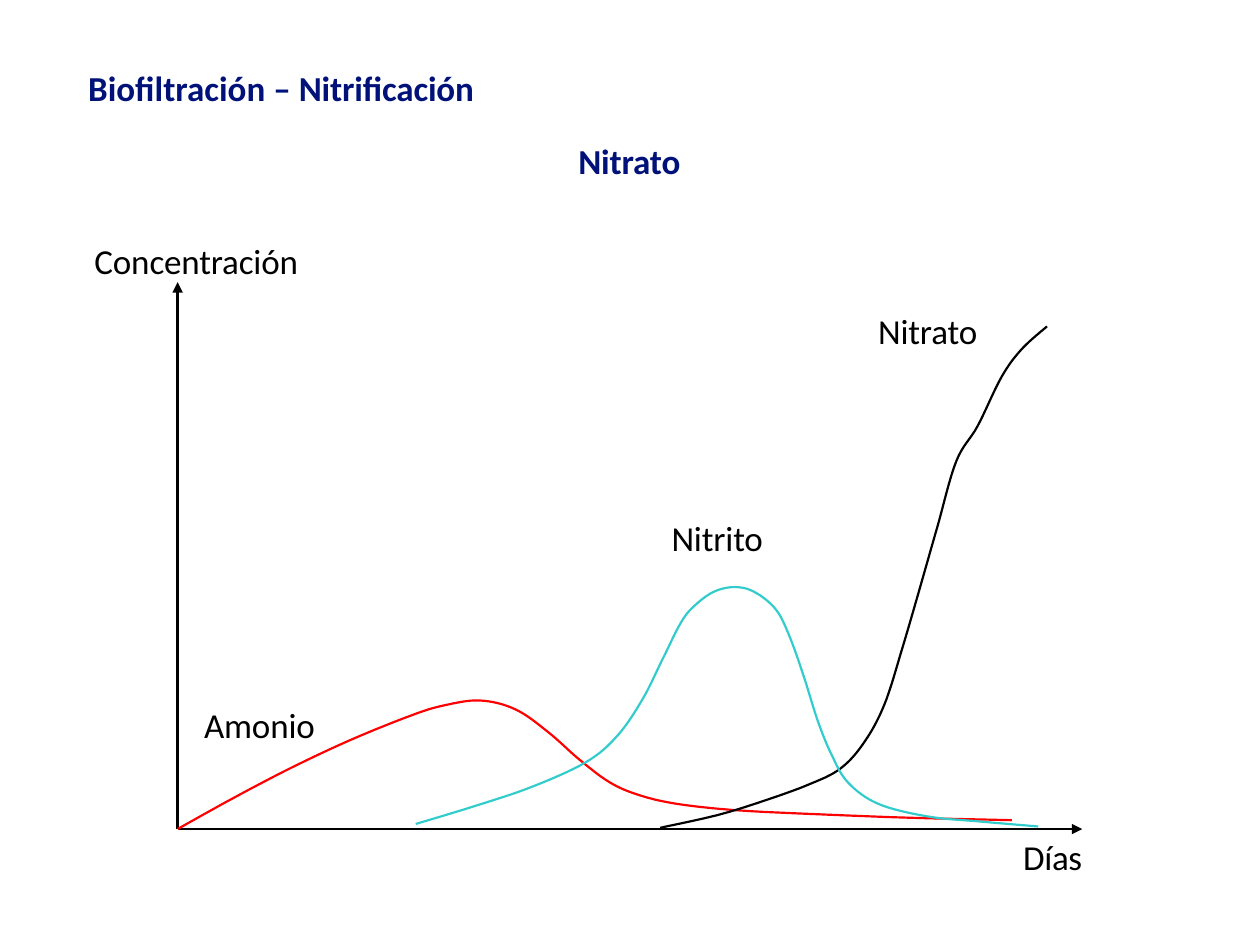
from dataclasses import dataclass

from lxml.etree import SubElement
from pptx import Presentation
from pptx.dml.color import RGBColor
from pptx.enum.shapes import MSO_CONNECTOR
from pptx.enum.text import MSO_ANCHOR, MSO_AUTO_SIZE, PP_ALIGN
from pptx.oxml.ns import qn
from pptx.util import Pt

PX = 9144  # one px is a hundredth of an inch
STEPS = 8  # line pieces between two knots of a curve

NAVY = RGBColor(0x00, 0x12, 0x79)
BLACK = RGBColor(0x00, 0x00, 0x00)
RED = RGBColor(0xFF, 0x00, 0x00)
TEAL = RGBColor(0x33, 0xCC, 0xCC)

Point = tuple[float, float]


@dataclass
class Label:
    text: str
    x: int
    y: int
    w: int
    color: RGBColor = BLACK
    bold: bool = False
    track: int = -10


@dataclass
class Curve:
    color: RGBColor
    knots: list[Point]


LABELS = [
    Label("Concentración", 74, 188, 166),
    Label("Nitrito", 532, 408, 77),
    Label("Amonio", 161, 556, 92),
    Label("Días", 811, 661, 51, track=-20),
    Label("Nitrato", 696, 244, 83),
]
HEADING = Label("Nitrato", 458, 109, 85, NAVY, True)

AMMONIUM = Curve(RED, [
    (141, 658), (186, 633), (232, 609), (279, 587), (326, 568), (352, 560),
    (381, 556), (409, 563), (435, 581), (460, 603), (484, 621), (507, 631),
    (537, 638), (583, 643), (642, 646), (720, 649), (803, 651)])
NITRATE = Curve(BLACK, [
    (524, 657), (569, 647), (605, 636), (641, 623), (667, 610), (686, 589),
    (702, 559), (716, 515), (730, 467), (744, 418), (759, 366), (776, 338),
    (795, 299), (811, 277), (831, 259)])
NITRITE = Curve(TEAL, [
    (330, 654), (373, 641), (421, 625), (465, 605), (490, 584), (510, 555),
    (526, 523), (540, 495), (550, 482), (566, 470), (583, 466), (599, 470),
    (616, 484), (627, 506), (638, 537), (649, 572), (660, 599), (673, 621),
    (697, 638), (736, 648), (777, 652), (824, 656)])


def set_box(shape, x: int, y: int, w: int, h: int, inset: int) -> None:
    shape.left, shape.top = x * PX, y * PX
    shape.width, shape.height = w * PX, h * PX
    frame = shape.text_frame
    frame.margin_left = frame.margin_right = frame.margin_bottom = 0
    frame.margin_top = inset * PX
    frame.word_wrap = True
    frame.vertical_anchor = MSO_ANCHOR.TOP
    frame.auto_size = MSO_AUTO_SIZE.SHAPE_TO_FIT_TEXT


def add_run(par, text: str, color: RGBColor, bold: bool, track: int) -> None:
    run = par.add_run()
    run.text = text
    font = run.font
    font.name, font.size, font.bold = "Calibri", Pt(20), bold
    font.color.rgb = color
    if track:
        run._r.get_or_add_rPr().set("spc", str(track))


def indent(par, px: int) -> None:
    props = par._p.get_or_add_pPr()
    props.set("marL", str(px * PX))
    props.set("indent", "0")


def add_label(slide, label: Label) -> None:
    box = slide.shapes.add_textbox(0, 0, PX, PX)
    set_box(box, label.x, label.y, label.w, 36, 2)
    par = box.text_frame.paragraphs[0]
    indent(par, 1)
    add_run(par, label.text, label.color, label.bold, label.track)


def add_axis(slide, start: Point, end: Point) -> None:
    ends = [v * PX for v in (*start, *end)]
    axis = slide.shapes.add_connector(MSO_CONNECTOR.STRAIGHT, *ends)
    axis.line.color.rgb = BLACK
    axis.line.width = Pt(1.5)
    SubElement(axis.line._get_or_add_ln(), qn("a:tailEnd"), type="triangle")
    SubElement(axis._element.spPr, qn("a:effectLst"))


def smooth(knots: list[Point]) -> list[Point]:
    """Run a Catmull-Rom spline through the knots."""
    ends = [knots[0], *knots, knots[-1]]
    points = [knots[0]]
    for quad in zip(ends, ends[1:], ends[2:], ends[3:]):
        for step in range(1, STEPS + 1):
            t = step / STEPS
            points.append(tuple(
                b + t * (c - a) / 2
                + t**2 * (2 * a - 5 * b + 4 * c - d) / 2
                + t**3 * (3 * b - a - 3 * c + d) / 2
                for a, b, c, d in zip(*quad)))
    return points


def add_curve(slide, curve: Curve) -> None:
    points = [(x * PX, y * PX) for x, y in smooth(curve.knots)]
    path = slide.shapes.build_freeform(*points[0])
    path.add_line_segments(points[1:], close=False)
    shape = path.convert_to_shape()
    shape.shadow.inherit = False
    shape.fill.background()
    shape.line.color.rgb = curve.color
    shape.line.width = Pt(1.25)


def main() -> None:
    deck = Presentation()
    deck.slide_width, deck.slide_height = 1000 * PX, 750 * PX
    slide = deck.slides.add_slide(deck.slide_layouts[5])

    # Title and heading
    title = slide.shapes.title
    set_box(title, 52, 41, 422, 61, 12)
    par = title.text_frame.paragraphs[0]
    par.alignment = PP_ALIGN.LEFT
    indent(par, 18)
    add_run(par, "Biofiltración – ", NAVY, True, 0)
    add_run(par, "Nitrificación", NAVY, True, -10)
    add_label(slide, HEADING)

    # Axes
    origin = (141, 658)
    add_axis(slide, origin, (141, 224))
    add_axis(slide, origin, (859, 658))

    # Curves and their labels
    for curve in (AMMONIUM, NITRATE, NITRITE):
        add_curve(slide, curve)
    for label in LABELS:
        add_label(slide, label)

    deck.save("out.pptx")


if __name__ == "__main__":
    main()
